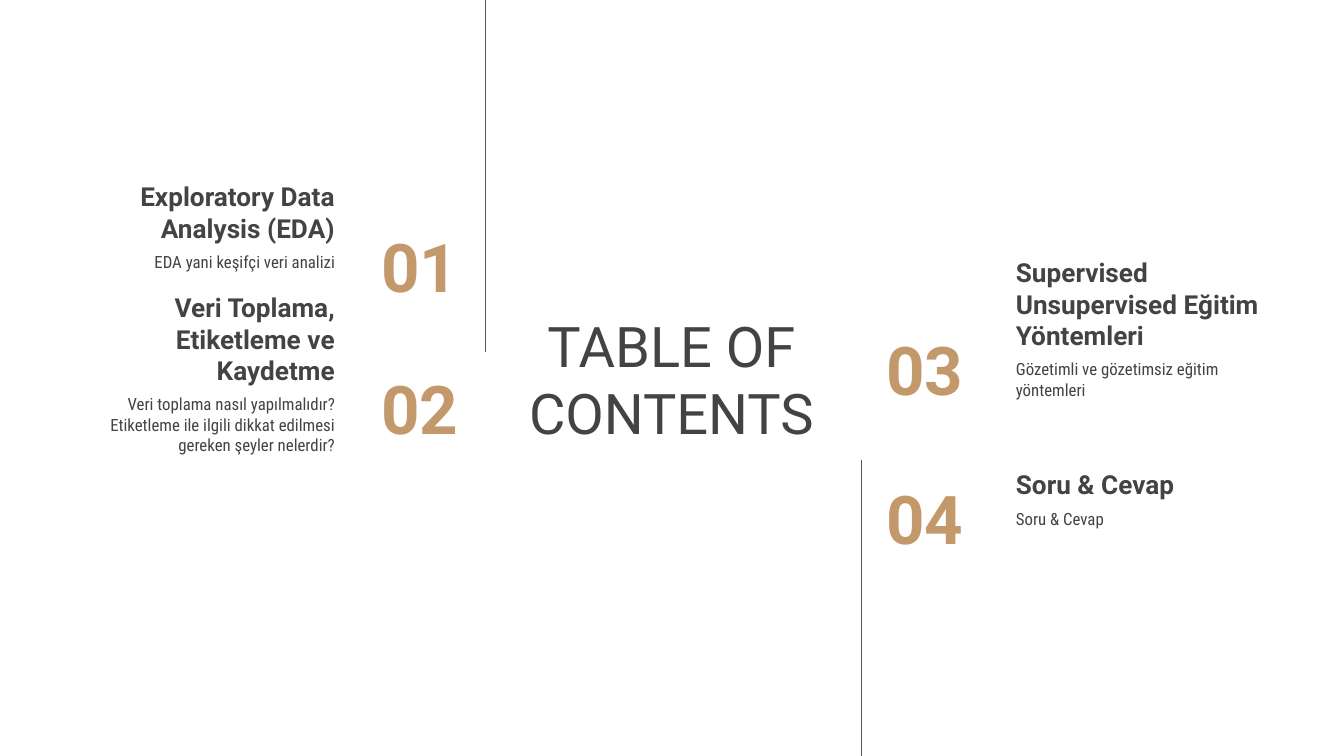
import pptx
import pptx.dml.color
import pptx.enum.shapes
import pptx.enum.text
import pptx.oxml
import pptx.util
from pptx.util import Cm

RGBColor = pptx.dml.color.RGBColor
ALIGN = pptx.enum.text.PP_ALIGN
ANCHOR = pptx.enum.text.MSO_ANCHOR

DARK = RGBColor(0x43, 0x43, 0x43)
GOLD = RGBColor(0xC3, 0x99, 0x6C)
GREY = RGBColor(0x59, 0x59, 0x59)

WIDTH, HEIGHT = 25.4, 14.29
ROW_H = 1.6
DESCRIPTION_DROP = 1.26


class Deck:
    font = "Roboto"
    body_font = "Roboto Condensed"
    inset = Cm(0.25)

    def __init__(self):
        self.prs = pptx.Presentation()
        self.prs.slide_width, self.prs.slide_height = Cm(WIDTH), Cm(HEIGHT)
        self.s = self.prs.slides.add_slide(self.prs.slide_layouts[5])

    def set_text(self, sp, text, size, color, align, anchor, bold=False, font=None):
        tf = sp.text_frame
        tf.word_wrap = True
        tf.auto_size = pptx.enum.text.MSO_AUTO_SIZE.NONE
        tf.vertical_anchor = anchor
        tf.margin_left = tf.margin_right = self.inset
        tf.margin_top = tf.margin_bottom = self.inset
        p = tf.paragraphs[0]
        p.alignment = align
        p.line_spacing = 1.0
        r = p.add_run()
        r.text = text
        r.font.size = pptx.util.Pt(size)
        r.font.name = font or self.font
        r.font.bold = bold
        r.font.color.rgb = color

    def title(self, text, x, y, w, h):
        sp = self.s.shapes.title
        sp.left, sp.top, sp.width, sp.height = Cm(x), Cm(y), Cm(w), Cm(h)
        self.set_text(sp, text, 30, DARK, ALIGN.CENTER, ANCHOR.MIDDLE)

    def box(self, x, y, w):
        return self.s.shapes.add_textbox(Cm(x), Cm(y), Cm(w), Cm(ROW_H))

    def heading(self, text, x, y, w, align):
        self.set_text(self.box(x, y, w), text, 14, DARK, align, ANCHOR.BOTTOM, bold=True)

    def description(self, text, x, y, w, align):
        self.set_text(self.box(x, y, w), text, 9, DARK, align, ANCHOR.TOP,
                      font=self.body_font)

    def number(self, text, x, y, w, align):
        self.set_text(self.box(x, y, w), text, 36, GOLD, align, ANCHOR.MIDDLE, bold=True)

    def vertical_line(self, x, top, bottom):
        line = self.s.shapes.add_connector(
            pptx.enum.shapes.MSO_CONNECTOR.STRAIGHT, Cm(x), Cm(top), Cm(x), Cm(bottom))
        line.line.color.rgb = GREY
        line.line.width = pptx.util.Pt(0.75)
        sp_pr = line._element.spPr
        sp_pr.append(pptx.oxml.parse_xml(
            '<a:effectLst xmlns:a="http://schemas.openxmlformats.org/drawingml/2006/main"/>'))


LEFT = dict(align=ALIGN.RIGHT, heading=(1.09, 5.49), description=(1.68, 4.9),
            number=(5.84, 3.07), number_drop=0.97)
RIGHT = dict(align=ALIGN.LEFT, heading=(18.95, 5.49), description=(18.95, 4.65),
             number=(16.5, 2.97), number_drop=0.89)

SECTIONS = [
    (LEFT, 3.25, "Exploratory Data Analysis (EDA)", "EDA yani keşifçi veri analizi"),
    (LEFT, 5.94, "Veri Toplama, Etiketleme ve Kaydetme",
     "Veri toplama nasıl yapılmalıdır? Etiketleme ile ilgili dikkat edilmesi "
     "gereken şeyler nelerdir?"),
    (RIGHT, 5.28, "Supervised Unsupervised Eğitim Yöntemleri",
     "Gözetimli ve gözetimsiz eğitim yöntemleri"),
    (RIGHT, 8.1, "Soru & Cevap", "Soru & Cevap"),
]


def main():
    deck = Deck()
    deck.title("TABLE OF CONTENTS", 9.4, 5.84, 6.58, 2.62)
    for i, (side, y, heading, description) in enumerate(SECTIONS, start=1):
        align = side["align"]
        x, w = side["heading"]
        deck.heading(heading, x, y, w, align)
        x, w = side["description"]
        deck.description(description, x, y + DESCRIPTION_DROP, w, align)
        x, w = side["number"]
        deck.number(f"{i:02}", x, y + side["number_drop"], w, align)
    deck.vertical_line(9.17, 0, 6.65)
    deck.vertical_line(16.28, 8.69, HEIGHT)
    deck.prs.save("out.pptx")


if __name__ == "__main__":
    main()
